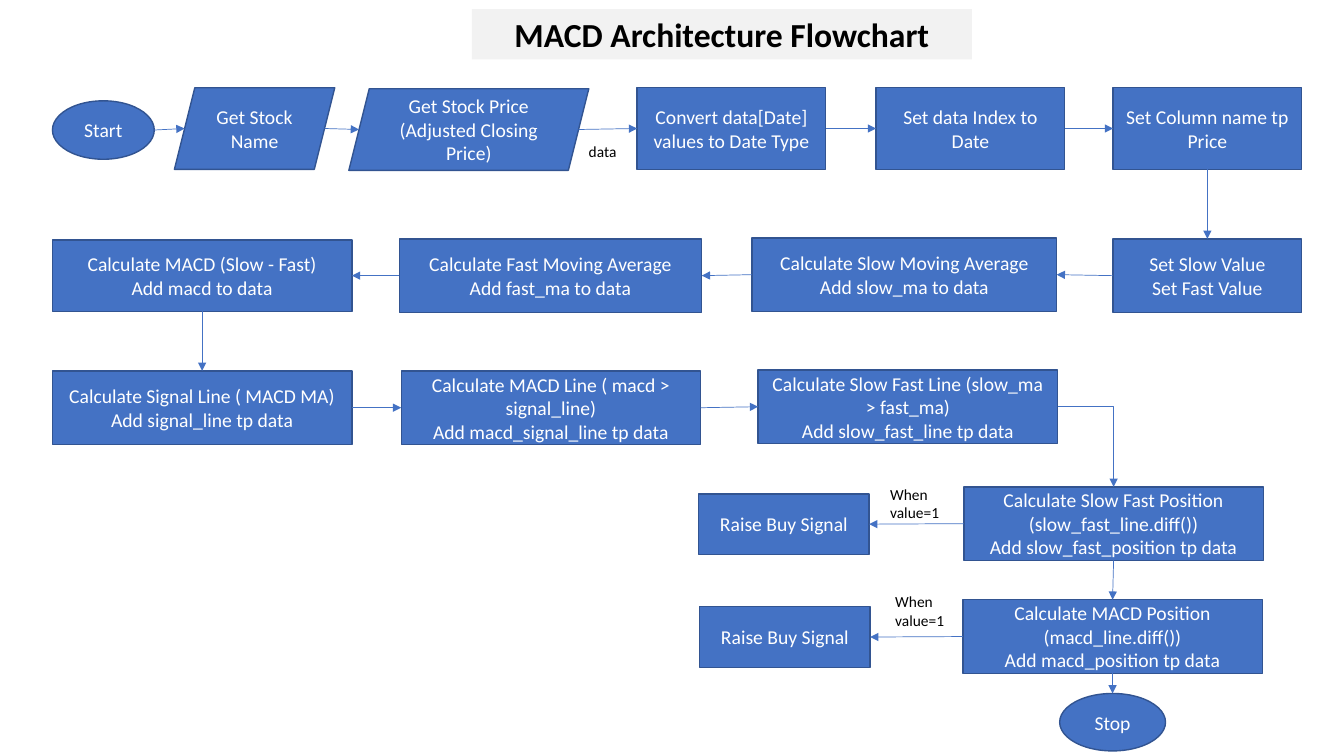
from dataclasses import dataclass
from typing import Any

from lxml.etree import SubElement
from pptx import Presentation
from pptx.dml.color import RGBColor as Rgb
from pptx.enum.shapes import MSO_CONNECTOR as Wire, MSO_SHAPE as Kind
from pptx.enum.text import MSO_ANCHOR as Anchor, MSO_AUTO_SIZE as Fit, PP_ALIGN as Align
from pptx.oxml.ns import qn
from pptx.util import Inches, Pt

TOP, LEFT, BASE, RIGHT = range(4)
BOX, OVAL, SLANT = Kind.RECTANGLE, Kind.OVAL, Kind.PARALLELOGRAM


@dataclass(frozen=True)
class Theme:
    font: str = "Calibri"
    fill: Rgb = Rgb(0x44, 0x72, 0xC4)
    edge: Rgb = Rgb(0x32, 0x54, 0x91)
    band: Rgb = Rgb(0xF2, 0xF2, 0xF2)
    white: Rgb = Rgb(0xFF, 0xFF, 0xFF)
    black: Rgb = Rgb(0, 0, 0)
    head: Pt = Pt(24)
    body: Pt = Pt(14)
    note: Pt = Pt(11)
    rim: Pt = Pt(1)
    wire: Pt = Pt(0.5)


@dataclass(frozen=True)
class Step:
    text: str
    x: float
    y: float
    w: float
    h: float = 0.73
    kind: Kind = BOX

    def port(self, side: int) -> tuple[float, float]:
        inset = self.h / 8 if self.kind == SLANT else 0
        return {
            TOP: (self.x + self.w / 2, self.y),
            LEFT: (self.x + inset, self.y + self.h / 2),
            BASE: (self.x + self.w / 2, self.y + self.h),
            RIGHT: (self.x + self.w - inset, self.y + self.h / 2),
        }[side]

    def glues(self, side: int) -> bool:
        return self.kind == BOX or (self.kind == OVAL and side == TOP)


@dataclass(frozen=True)
class Link:
    start: str
    out: int
    end: str
    into: int
    bent: bool = False


@dataclass(frozen=True)
class Note:
    text: str
    x: float
    y: float
    w: float
    h: float = 0.47


THEME = Theme()
ROW1, ROW2, ROW3 = 0.87, 2.37, 3.68
TALL, WIDE, SLIM = 0.81, 2.97, 1.87

STEPS = {
    "start": Step("Start", 0.52, 1, 1.01, 0.58, OVAL),
    "name": Step("Get Stock Name", 1.73, ROW1, 1.59, TALL, SLANT),
    "price": Step("Get Stock Price (Adjusted Closing Price)", 3.46, 0.88, 2.38, TALL, SLANT),
    "date": Step("Convert data[Date] values to Date Type", 6.32, ROW1, SLIM, TALL),
    "index": Step("Set data Index to Date", 8.69, ROW1, SLIM, TALL),
    "column": Step("Set Column name tp Price", 11.04, ROW1, SLIM, TALL),
    "values": Step("Set Slow Value\nSet Fast Value", 11.04, ROW2, SLIM),
    "slow": Step("Calculate Slow Moving Average\nAdd slow_ma to data", 7.46, 2.36, 3.02),
    "fast": Step("Calculate Fast Moving Average\nAdd fast_ma to data", 3.96, ROW2, 3),
    "macd": Step("Calculate MACD (Slow - Fast)\nAdd macd to data", 0.52, 2.38, WIDE, 0.71),
    "signal": Step("Calculate Signal Line ( MACD MA)\nAdd signal_line tp data",
                   0.52, ROW3, WIDE),
    "line": Step("Calculate MACD Line ( macd > signal_line)\nAdd macd_signal_line tp data",
                 3.98, ROW3, WIDE),
    "cross": Step("Calculate Slow Fast Line (slow_ma > fast_ma)\nAdd slow_fast_line tp data",
                  7.52, 3.67, WIDE),
    "upper": Step("Calculate Slow Fast Position (slow_fast_line.diff())\n"
                  "Add slow_fast_position tp data", 9.56, 4.83, WIDE),
    "lower": Step("Calculate MACD Position (macd_line.diff())\nAdd macd_position tp data",
                  9.55, 5.95, WIDE),
    "buy1": Step("Raise Buy Signal", 6.93, 4.9, 1.69, 0.6),
    "buy2": Step("Raise Buy Signal", 6.94, 6.02, 1.69, 0.6),
    "stop": Step("Stop", 10.51, 6.88, 1.05, 0.57, OVAL),
}


def chain(keys: str, out: int, into: int) -> list[Link]:
    names = keys.split()
    return [Link(a, out, b, into) for a, b in zip(names, names[1:])]


LINKS = [
    *chain("start name price date index column", RIGHT, LEFT),
    *chain("column values", BASE, TOP),
    *chain("values slow fast macd", LEFT, RIGHT),
    *chain("macd signal", BASE, TOP),
    *chain("signal line cross", RIGHT, LEFT),
    Link("cross", RIGHT, "upper", TOP, bent=True),
    *chain("upper lower stop", BASE, TOP),
    *chain("upper buy1", LEFT, RIGHT),
    *chain("lower buy2", LEFT, RIGHT),
]

NOTES = [
    Note("data", 5.74, 1.36, 0.58, 0.29),
    Note("When value=1", 8.73, 4.76, 0.72),
    Note("When value=1", 8.78, 5.83, 0.72),
]


def apply(item: Any, vals: dict[str, Any]) -> None:
    for key, val in vals.items():
        setattr(item, key, val)


def paint(part: Any, tone: Rgb) -> None:
    part.solid()
    part.fore_color.rgb = tone


def write(shape: Any, text: str, size: Pt, tone: Rgb, align: Align,
          anchor: Anchor, bold: bool = False) -> None:
    frame = shape.text_frame
    frame.text = text
    apply(frame, {"word_wrap": True, "auto_size": Fit.NONE, "vertical_anchor": anchor,
                  "margin_left": Inches(0.1), "margin_right": Inches(0.1),
                  "margin_top": Inches(0.05), "margin_bottom": Inches(0.05)})
    for para in frame.paragraphs:
        para.alignment = align
        apply(para.runs[0].font, {"name": THEME.font, "size": size, "bold": bold})
        para.runs[0].font.color.rgb = tone


def draw_step(slide: Any, step: Step) -> Any:
    shape = slide.shapes.add_shape(step.kind, *map(Inches, (step.x, step.y, step.w, step.h)))
    shape.shadow.inherit = False
    paint(shape.fill, THEME.fill)
    paint(shape.line.fill, THEME.edge)
    shape.line.width = THEME.rim
    write(shape, step.text, THEME.body, THEME.white, Align.CENTER, Anchor.MIDDLE)
    return shape


def draw_link(slide: Any, link: Link, shapes: dict[str, Any]) -> None:
    first, last = STEPS[link.start], STEPS[link.end]
    ends = (*first.port(link.out), *last.port(link.into))
    kind = Wire.ELBOW if link.bent else Wire.STRAIGHT
    wire = slide.shapes.add_connector(kind, *map(Inches, ends))
    if first.glues(link.out):
        wire.begin_connect(shapes[link.start], link.out)
    if last.glues(link.into):
        wire.end_connect(shapes[link.end], link.into)
    paint(wire.line.fill, THEME.fill)
    wire.line.width = THEME.wire
    props = wire._element.spPr
    if link.bent:
        props.find(qn("a:prstGeom")).set("prst", "bentConnector2")
    SubElement(props.find(qn("a:ln")), qn("a:tailEnd"), type="triangle")
    SubElement(props, qn("a:effectLst"))


def draw_note(slide: Any, note: Note) -> None:
    box = slide.shapes.add_textbox(*map(Inches, (note.x, note.y, note.w, note.h)))
    write(box, note.text, THEME.note, THEME.black, Align.LEFT, Anchor.TOP)


def draw_title(slide: Any) -> None:
    title = slide.shapes.title
    apply(title, {"left": Inches(4.68), "top": Inches(0.09),
                  "width": Inches(4.96), "height": Inches(0.5)})
    paint(title.fill, THEME.band)
    write(title, "MACD Architecture Flowchart", THEME.head, THEME.black,
          Align.CENTER, Anchor.TOP, bold=True)


def main() -> None:
    deck = Presentation()
    apply(deck, {"slide_width": Inches(13.33), "slide_height": Inches(7.5)})
    slide = deck.slides.add_slide(deck.slide_layouts[5])
    draw_title(slide)
    shapes = {key: draw_step(slide, step) for key, step in STEPS.items()}
    for link in LINKS:
        draw_link(slide, link, shapes)
    for note in NOTES:
        draw_note(slide, note)
    deck.save("out.pptx")


main()
